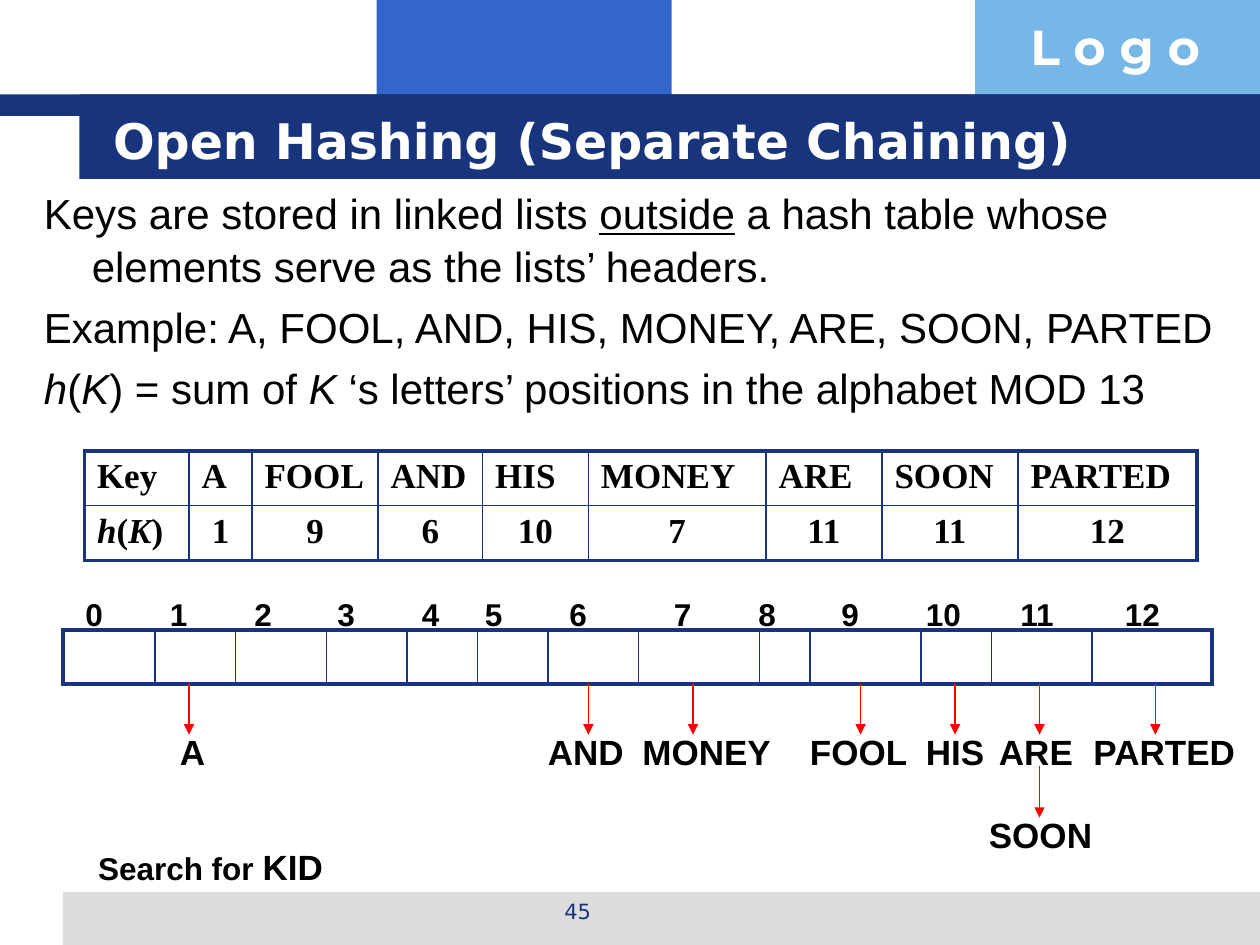
from dataclasses import dataclass

from lxml import etree
from pptx import Presentation
from pptx.dml.color import RGBColor as Color
from pptx.enum.shapes import MSO_CONNECTOR as Connector, MSO_SHAPE as Preset
from pptx.enum.text import MSO_ANCHOR as Anchor, MSO_AUTO_SIZE as AutoSize, PP_ALIGN as Align
from pptx.oxml.ns import qn
from pptx.util import Inches, Pt


@dataclass(frozen=True)
class Theme:
    navy: str = "17347D"
    blue: str = "3366CC"
    sky: str = "77B7E7"
    grey: str = "DDDDDD"
    red: str = "FF0000"
    white: str = "FFFFFF"
    black: str = "000000"
    body_font: str = "Arial"
    title_font: str = "DejaVu Sans"
    logo_font: str = "Montserrat"
    table_font: str = "Times New Roman"
    title_size: float = 28
    body_size: float = 24
    key_size: float = 20
    label_size: float = 18
    number_size: float = 12
    outer_line: float = 2.25
    inner_line: float = 1


class SlideBuilder:
    """Draws styled elements on the current slide."""

    def __init__(self, slide, theme):
        self.slide = slide
        self.theme = theme

    def bar(self, left, top, width, height, color):
        shape = self.slide.shapes.add_shape(
            Preset.RECTANGLE, Inches(left), Inches(top), Inches(width), Inches(height))
        shape.shadow.inherit = False
        shape.fill.solid()
        shape.fill.fore_color.rgb = Color.from_string(color)
        shape.line.fill.background()

    def add_runs(self, paragraph, runs, size, font=None, color=None, bold=False):
        for text, style in runs:
            run = paragraph.add_run()
            run.text = text
            run.font.name = font or self.theme.body_font
            run.font.size = Pt(style.get("size", size))
            run.font.bold = bold
            run.font.italic = style.get("italic", False)
            run.font.underline = style.get("underline", False)
            run.font.color.rgb = Color.from_string(color or self.theme.black)

    def text(self, left, top, width, height, paragraphs, size, font=None, color=None,
             bold=True, align=Align.LEFT, anchor=Anchor.TOP, wrap=True, grow=False,
             hanging=0, gap=0, spacing=None):
        box = self.slide.shapes.add_textbox(
            Inches(left), Inches(top), Inches(width), Inches(height))
        frame = box.text_frame
        frame.word_wrap = wrap
        frame.auto_size = AutoSize.SHAPE_TO_FIT_TEXT if grow else AutoSize.NONE
        frame.vertical_anchor = anchor
        for index, runs in enumerate(paragraphs):
            paragraph = frame.add_paragraph() if index else frame.paragraphs[0]
            paragraph.alignment = align
            if hanging:
                properties = paragraph._p.get_or_add_pPr()
                properties.set("marL", str(Inches(hanging)))
                properties.set("indent", str(-Inches(hanging)))
            if spacing:
                paragraph.line_spacing = spacing
            if index and gap:
                paragraph.space_before = Pt(gap)
            self.add_runs(paragraph, runs, size, font, color, bold)

    def label(self, left, top, width, text, size):
        self.text(left, top, width, 0.43 if size == self.theme.key_size else 0.4,
                  [[(text, {})]], size, grow=True)

    def arrow(self, x, top, bottom):
        line = self.slide.shapes.add_connector(
            Connector.STRAIGHT, Inches(x), Inches(top), Inches(x), Inches(bottom))
        line.line.color.rgb = Color.from_string(self.theme.red)
        line.line.width = Pt(self.theme.inner_line)
        etree.SubElement(line.line._get_or_add_ln(), qn("a:tailEnd"), type="triangle")
        etree.SubElement(line._element.spPr, qn("a:effectLst"))

    def cell_borders(self, cell, outer_sides):
        properties = cell._tc.get_or_add_tcPr()
        for index, side in enumerate("LRTB"):
            width = self.theme.outer_line if side in outer_sides else self.theme.inner_line
            border = etree.Element(qn(f"a:ln{side}"), w=str(Pt(width)))
            fill = etree.SubElement(border, qn("a:solidFill"))
            etree.SubElement(fill, qn("a:srgbClr"), val=self.theme.navy)
            properties.insert(index, border)

    def table(self, left, top, widths, row_height, rows):
        table = self.slide.shapes.add_table(
            len(rows), len(widths), Inches(left), Inches(top),
            Inches(sum(widths)), Inches(row_height * len(rows))).table
        table.first_row = table.horz_banding = False
        for column, width in zip(table.columns, widths):
            column.width = Inches(width)
        for row_index, row in enumerate(rows):
            table.rows[row_index].height = Inches(row_height)
            for column_index, runs in enumerate(row):
                cell = table.cell(row_index, column_index)
                cell.fill.background()
                edges = {"L": column_index == 0, "R": column_index == len(widths) - 1,
                         "T": row_index == 0, "B": row_index == len(rows) - 1}
                self.cell_borders(cell, [side for side, outer in edges.items() if outer])
                paragraph = cell.text_frame.paragraphs[0]
                if row_index and column_index:
                    paragraph.alignment = Align.CENTER
                if runs:
                    self.add_runs(paragraph, runs, self.theme.key_size,
                                  self.theme.table_font, bold=True)
                else:
                    paragraph.font.size = Pt(self.theme.label_size)


def main():
    theme = Theme()
    presentation = Presentation()
    presentation.slide_width, presentation.slide_height = Inches(10), Inches(7.5)
    slide = presentation.slides.add_slide(presentation.slide_layouts[6])
    builder = SlideBuilder(slide, theme)
    italic = {"italic": True}

    for bar in [(2.99, 0, 2.34, 0.92, theme.blue), (7.74, 0, 2.26, 0.92, theme.sky),
                (0.5, 7.08, 9.5, 0.42, theme.grey), (0, 0.75, 10, 0.17, theme.navy),
                (0.63, 0.75, 9.37, 0.67, theme.navy)]:
        builder.bar(*bar)

    builder.text(8.08, 0.08, 1.93, 0.57, [[("L o g o", {})]], theme.title_size,
                 theme.logo_font, theme.white, grow=True)
    builder.text(0.8, 0.8, 8.53, 0.62, [[("Open Hashing (Separate Chaining)", {})]],
                 theme.title_size, theme.title_font, theme.white, anchor=Anchor.MIDDLE)
    builder.text(0.25, 1.42, 9.75, 5.36, [
        [("Keys are stored in linked lists ", {}), ("outside", {"underline": True}),
         (" a hash table whose elements serve as the lists’ headers.", {})],
        [("Example: A, FOOL, AND, HIS, MONEY, ARE, SOON, PARTED", {})],
        [("h", italic), ("(", {}), ("K", italic), (") = sum of ", {}), ("K", italic),
         (" ‘s letters’ positions in the alphabet MOD 13", {})],
    ], theme.body_size, bold=False, hanging=0.38, gap=4.8, spacing=1.05)

    hashes = {"A": 1, "FOOL": 9, "AND": 6, "HIS": 10, "MONEY": 7,
              "ARE": 11, "SOON": 11, "PARTED": 12}
    key_row = [[(text, {})] for text in ["Key", *hashes]]
    hash_row = [[("h", italic), ("(", {}), ("K", italic), (")", {})]]
    hash_row += [[(str(value), {})] for value in hashes.values()]
    builder.table(0.67, 3.58, [0.83, 0.5, 1, 0.83, 0.84, 1.41, 0.92, 1.08, 1.42],
                  0.43, [key_row, hash_row])

    bucket_widths = [0.73, 0.64, 0.72, 0.64, 0.56, 0.56, 0.72,
                     0.96, 0.4, 0.88, 0.56, 0.8, 0.95]
    builder.table(0.5, 5, bucket_widths, 0.43, [[None] * len(bucket_widths)])
    index_lefts = [0.58, 1.25, 1.92, 2.58, 3.25, 3.75, 4.42,
                   5.25, 5.92, 6.58, 7.25, 8, 8.83]
    for index, left in enumerate(index_lefts):
        builder.label(left, 4.67, 0.58, str(index), theme.label_size)

    chain_tops = [5.42, 6.08]
    for key, left, width, arrow_x, level in [
            ("A", 1.33, 0.33, 1.5, 0), ("AND", 4.25, 0.83, 4.67, 0),
            ("MONEY", 5, 1.33, 5.5, 0), ("FOOL", 6.33, 1.08, 6.83, 0),
            ("HIS", 7.25, 0.75, 7.58, 0), ("ARE", 7.83, 0.83, 8.25, 0),
            ("PARTED", 8.58, 1.42, 9.17, 0), ("SOON", 7.75, 1.33, 8.25, 1)]:
        top = chain_tops[level]
        builder.arrow(arrow_x, top, top + 0.41)
        builder.label(left, top + 0.33, width, key, theme.key_size)

    builder.text(0.68, 6.66, 2, 0.44,
                 [[("Search for ", {}), ("KID", {"size": theme.key_size})]],
                 theme.label_size, wrap=False, grow=True)
    builder.text(3.42, 7.08, 2.33, 0.35, [[("45", {})]], theme.number_size,
                 theme.title_font, theme.navy, bold=False, align=Align.CENTER)
    presentation.save("out.pptx")


if __name__ == "__main__":
    main()
